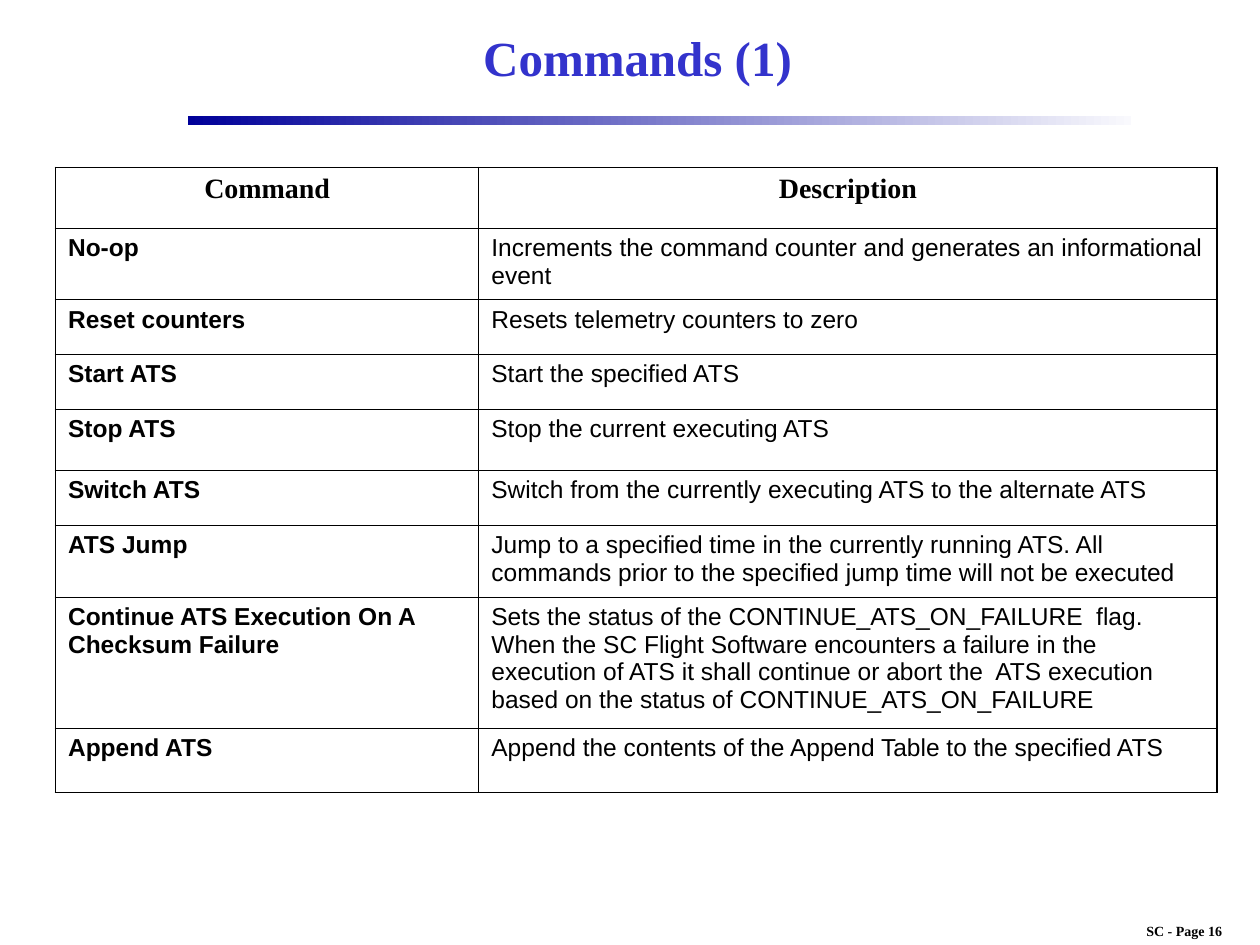
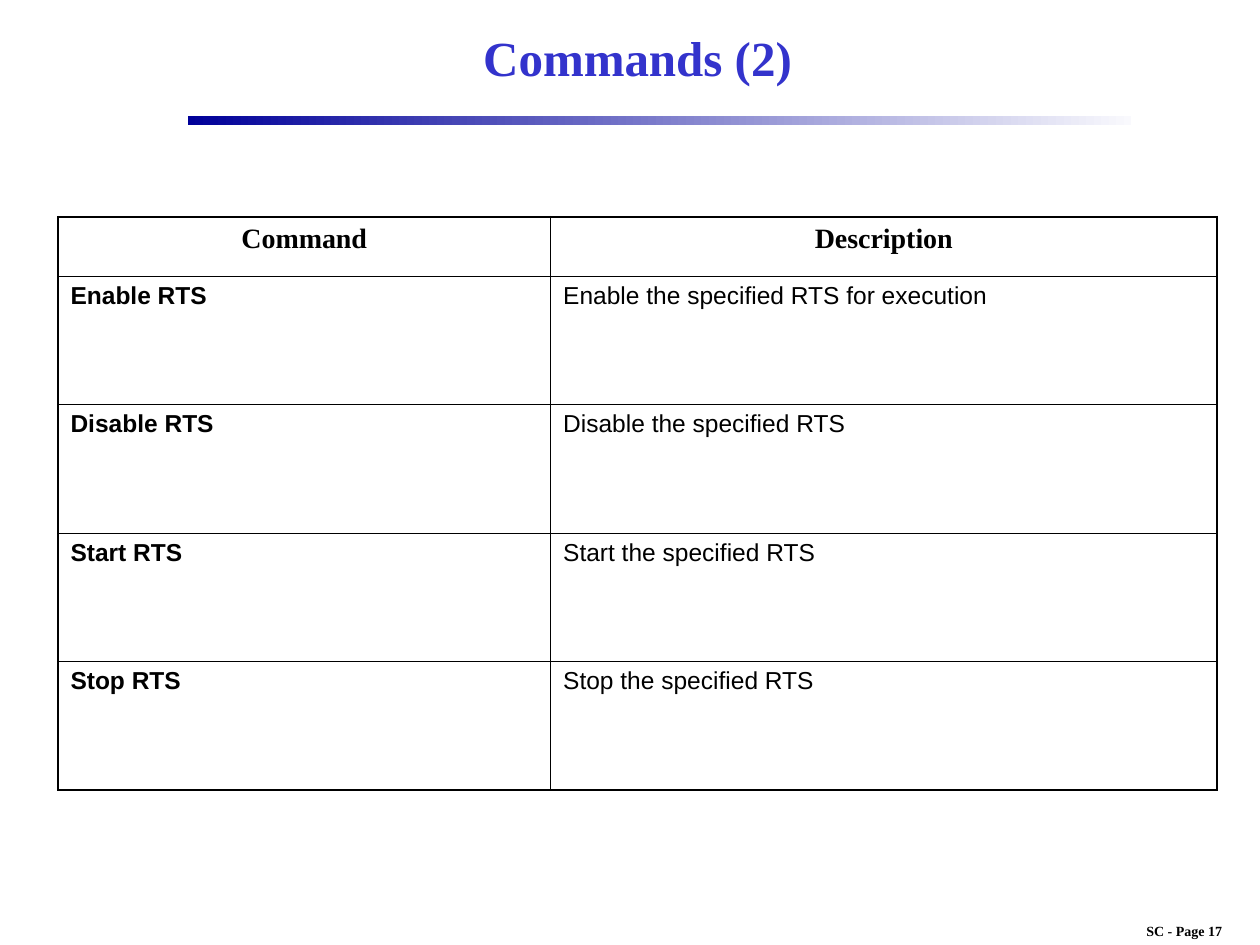
"""Build two command reference slides with a shared title, rule and footer."""
from dataclasses import dataclass

from lxml.etree import SubElement
from pptx import Presentation
from pptx.dml.color import RGBColor
from pptx.enum.shapes import MSO_SHAPE
from pptx.enum.text import MSO_ANCHOR, PP_ALIGN
from pptx.oxml.ns import qn
from pptx.util import Inches, Pt


@dataclass(frozen=True)
class Theme:
    black: str = "000000"
    title_blue: str = "3333CC"
    rule_start: str = "000099"
    rule_end: str = "F9F9FD"
    serif: str = "Times New Roman"
    sans: str = "Arial"
    title_size: float = 28
    header_size: float = 16
    body_size: float = 14
    footer_size: float = 8
    header_space: float = 7
    body_space: float = 6.1
    outer_line: float = 1.08
    inner_line: float = 0.45


class CommandDeck:
    def __init__(self, theme):
        self.theme = theme
        self.deck = Presentation()
        self.deck.slide_width, self.deck.slide_height = Inches(10), Inches(7.5)
        self.page = None

    def add_page(self, title, number):
        self.page = self.deck.slides.add_slide(self.deck.slide_layouts[6])
        self.add_footer(f"SC - Page {number}")
        self.add_rule()
        self.add_title(title)

    def add_span(self, frame, text, size, font, color, bold=True, align=PP_ALIGN.CENTER, space=0):
        para = frame.paragraphs[0]
        para.alignment = align
        para.space_before = Pt(space)
        span = para.add_run()
        span.text = text
        span.font.size, span.font.name, span.font.bold = Pt(size), font, bold
        span.font.color.rgb = RGBColor.from_string(color)

    def add_text(self, text, place, size, color, anchor, wrap):
        box = self.page.shapes.add_textbox(*map(Inches, place))
        frame = box.text_frame
        frame.word_wrap = wrap
        frame.vertical_anchor = anchor
        self.add_span(frame, text, size, self.theme.serif, color)

    def add_title(self, text):
        self.add_text(text, (1.53, 0.08, 7.06, 0.75), self.theme.title_size,
                      self.theme.title_blue, MSO_ANCHOR.MIDDLE, True)

    def add_footer(self, text):
        self.add_text(text, (8.8, 7.27, 1.2, 0.23), self.theme.footer_size,
                      self.theme.black, MSO_ANCHOR.TOP, False)

    def add_rule(self):
        rule = self.page.shapes.add_shape(
            MSO_SHAPE.RECTANGLE, *map(Inches, (1.49, 0.92, 7.49, 0.07)))
        rule.shadow.inherit = False
        rule.line.fill.background()
        rule.fill.gradient()
        rule.fill.gradient_angle = 0
        for stop, color in zip(rule.fill.gradient_stops,
                               (self.theme.rule_start, self.theme.rule_end)):
            stop.color.rgb = RGBColor.from_string(color)

    def add_borders(self, cell, widths):
        properties = cell._tc.get_or_add_tcPr()
        for position, (side, width) in enumerate(zip("LRTB", widths)):
            line = SubElement(properties, qn(f"a:ln{side}"), w=str(Pt(width)))
            color = SubElement(SubElement(line, qn("a:solidFill")), qn("a:srgbClr"))
            color.set("val", self.theme.black)
            properties.insert(position, line)

    def add_table(self, left, top, columns, heights, commands, bottom_line):
        theme = self.theme
        rows = [("Command", "Description"), *commands]
        table = self.page.shapes.add_table(
            len(rows), len(columns),
            *map(Inches, (left, top, sum(columns), sum(heights)))).table
        table.first_row = table.horz_banding = False
        for column, width in zip(table.columns, columns):
            column.width = Inches(width)
        for row, height in zip(table.rows, heights):
            row.height = Inches(height)
        outer, inner = theme.outer_line, theme.inner_line
        for r, texts in enumerate(rows):
            for c, text in enumerate(texts):
                cell = table.cell(r, c)
                cell.fill.background()
                if r == 0:
                    self.add_span(cell.text_frame, text, theme.header_size, theme.serif,
                                  theme.black, space=theme.header_space)
                else:
                    self.add_span(cell.text_frame, text, theme.body_size, theme.sans,
                                  theme.black, c == 0, PP_ALIGN.LEFT, theme.body_space)
                self.add_borders(cell, (
                    outer if c == 0 else inner,
                    outer if c == len(columns) - 1 else inner,
                    outer if r == 0 else inner,
                    bottom_line if r == len(rows) - 1 else inner))


ATS_COMMANDS = [
    ("No-op", "Increments the command counter and generates an informational event"),
    ("Reset counters", "Resets telemetry counters to zero"),
    ("Start ATS", "Start the specified ATS"),
    ("Stop ATS", "Stop the current executing ATS"),
    ("Switch ATS", "Switch from the currently executing ATS to the alternate ATS"),
    ("ATS Jump", "Jump to a specified time in the currently running ATS. All commands "
                 "prior to the specified jump time will not be executed"),
    ("Continue ATS Execution On A Checksum Failure",
     "Sets the status of the CONTINUE_ATS_ON_FAILURE  flag. When the SC Flight Software "
     "encounters a failure in the execution of ATS it shall continue or abort the  ATS "
     "execution based on the status of CONTINUE_ATS_ON_FAILURE"),
    ("Append ATS", "Append the contents of the Append Table to the specified ATS"),
]
RTS_COMMANDS = [
    ("Enable RTS", "Enable the specified RTS for execution"),
    *((f"{verb} RTS", f"{verb} the specified RTS") for verb in ("Disable", "Start", "Stop")),
]

theme = Theme()
book = CommandDeck(theme)

book.add_page("Commands (1)", 16)
book.add_table(0.44, 1.33, (3.36, 5.86),
               (0.48, 0.57, 0.43, 0.44, 0.48, 0.44, 0.57, 1.04, 0.51),
               ATS_COMMANDS, theme.inner_line)

book.add_page("Commands (2)", 17)
book.add_table(0.46, 1.72, (3.91, 5.29), [0.47] + [1.02] * len(RTS_COMMANDS),
               RTS_COMMANDS, theme.outer_line)

book.deck.save("out.pptx")
